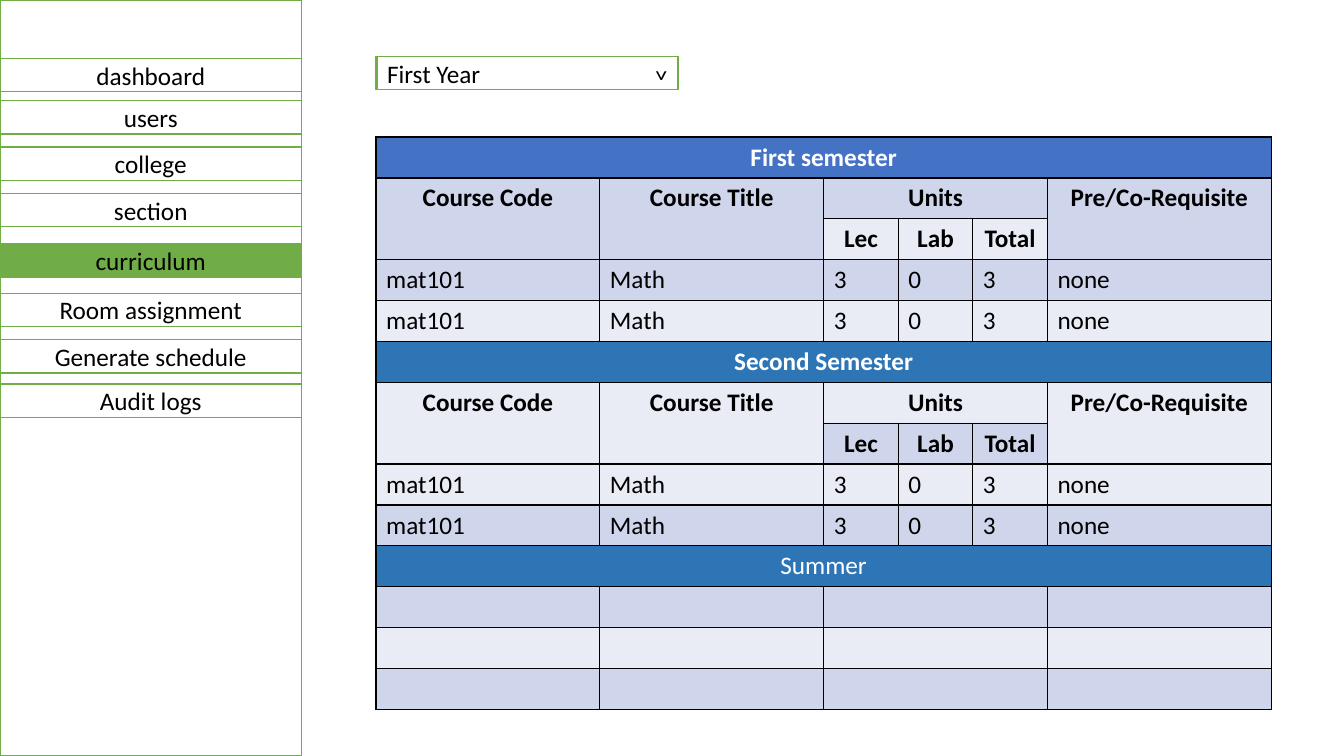
from lxml.etree import SubElement
from pptx import Presentation
from pptx.dml.color import RGBColor
from pptx.enum.shapes import MSO_SHAPE as Shape
from pptx.enum.text import MSO_ANCHOR as Anchor, PP_ALIGN as Align
from pptx.oxml.ns import qn
from pptx.util import Pt

PX = 9144  # one hundredth of an inch
BLACK = RGBColor(0x00, 0x00, 0x00)
WHITE = RGBColor(0xFF, 0xFF, 0xFF)
GREEN = RGBColor(0x70, 0xAD, 0x47)
BLUE = RGBColor(0x44, 0x72, 0xC4)
NAVY = RGBColor(0x2E, 0x75, 0xB6)
BANDS = [RGBColor(0xE9, 0xEB, 0xF5), RGBColor(0xCF, 0xD5, 0xEA)]


def write(frame, text, align=Align.LEFT, color=BLACK, bold=False):
    par = frame.paragraphs[0]
    par.alignment = align
    run = par.add_run()
    run.text = text
    run.font.name = "Calibri"
    run.font.size = Pt(18)
    run.font.bold = bold
    run.font.color.rgb = color


def box(left, top, height=33, fill=WHITE, text="", align=Align.CENTER):
    """Add a green-edged box of menu width; fill None leaves it clear."""
    shape = slide.shapes.add_shape(
        Shape.RECTANGLE, left * PX, top * PX, 299 * PX, height * PX)
    shape.shadow.inherit = False
    if fill is None:
        shape.fill.background()
    else:
        shape.fill.solid()
        shape.fill.fore_color.rgb = fill
    shape.line.color.rgb = GREEN
    shape.line.width = Pt(1)
    shape.text_frame.vertical_anchor = Anchor.MIDDLE
    if text:
        write(shape.text_frame, text, align)
    return shape


deck = Presentation()
deck.slide_width, deck.slide_height = 1333 * PX, 750 * PX
slide = deck.slides.add_slide(deck.slide_layouts[6])

# Course table: banners span all columns, empty strings fall under merges
heads = [
    ["Course Code", "Course Title", "Units", "", "", "Pre/Co-Requisite"],
    ["", "", "Lec", "Lab", "Total", ""],
]
course = ["mat101", "Math", "3", "0", "3", "none"]
term = heads + [course] * 2
rows = [["First semester"], *term, ["Second Semester"], *term,
        ["Summer"], *[[""] * 6] * 3]
widths = [222, 222, 74, 74, 74, 222]

table = slide.shapes.add_table(
    len(rows), len(widths), 373 * PX, 136 * PX,
    sum(widths) * PX, len(rows) * 40 * PX).table
for col, width in zip(table.columns, widths):
    col.width = width * PX

for r, words in enumerate(rows):
    banner = len(words) == 1
    if banner:
        back = NAVY if r else BLUE
    else:
        back = BANDS[r % 2]
    for c in range(len(widths)):
        cell = table.cell(r, c)
        props = cell._tc.get_or_add_tcPr()
        for side in ("a:lnL", "a:lnR", "a:lnT", "a:lnB"):
            edge = SubElement(props, qn(side), w=str(Pt(1)))
            paint = SubElement(edge, qn("a:solidFill"))
            SubElement(paint, qn("a:srgbClr"), val=str(BLACK))
        cell.fill.solid()
        cell.fill.fore_color.rgb = back
    for c, word in enumerate(words):
        if word:
            mid = banner or words in heads
            write(table.cell(r, c).text_frame, word,
                  align=Align.CENTER if mid else Align.LEFT,
                  color=WHITE if banner else BLACK,
                  bold=mid and word != "Summer")
    if banner:
        table.cell(r, 0).merge(table.cell(r, 5))
    elif words == heads[0]:
        for c in (0, 1, 5):
            table.cell(r, c).merge(table.cell(r + 1, c))
    if words == heads[0] or not any(words):
        table.cell(r, 2).merge(table.cell(r, 4))

# Year picker, its arrow a caret turned upside down
box(374, 56, text="First Year", align=Align.LEFT)
arrow = box(373, 56, fill=None, text="^", align=Align.LEFT)
arrow.rotation = 180

# Side menu
box(0, 0, height=750)
menu = [
    ("dashboard", 58), ("users", 100), ("college", 146), ("section", 192),
    ("curriculum", 242), ("Room assignment", 291),
    ("Generate schedule", 337), ("Audit logs", 381),
]
for name, top in menu:
    box(0, top, fill=GREEN if name == "curriculum" else WHITE, text=name)

deck.save("out.pptx")
